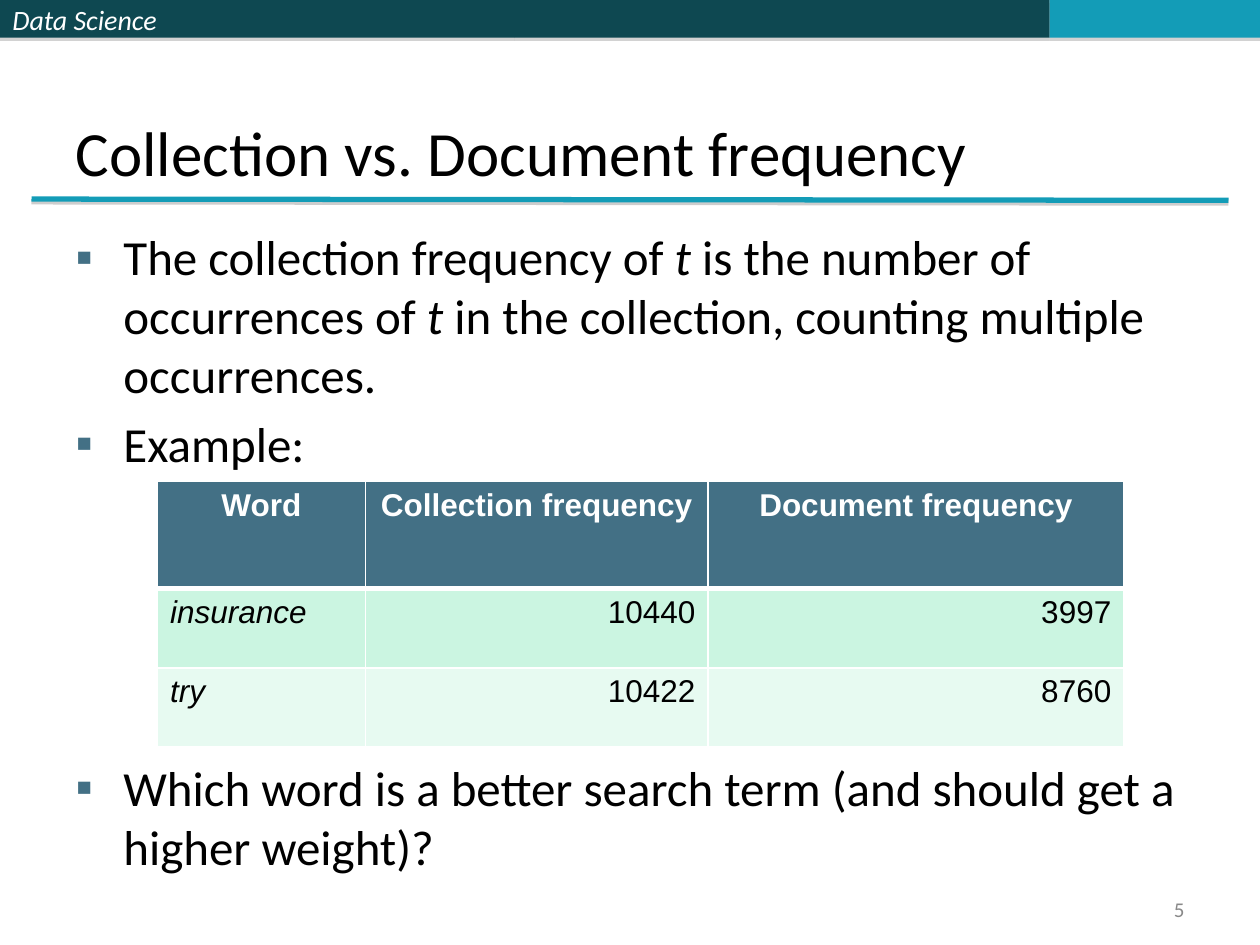
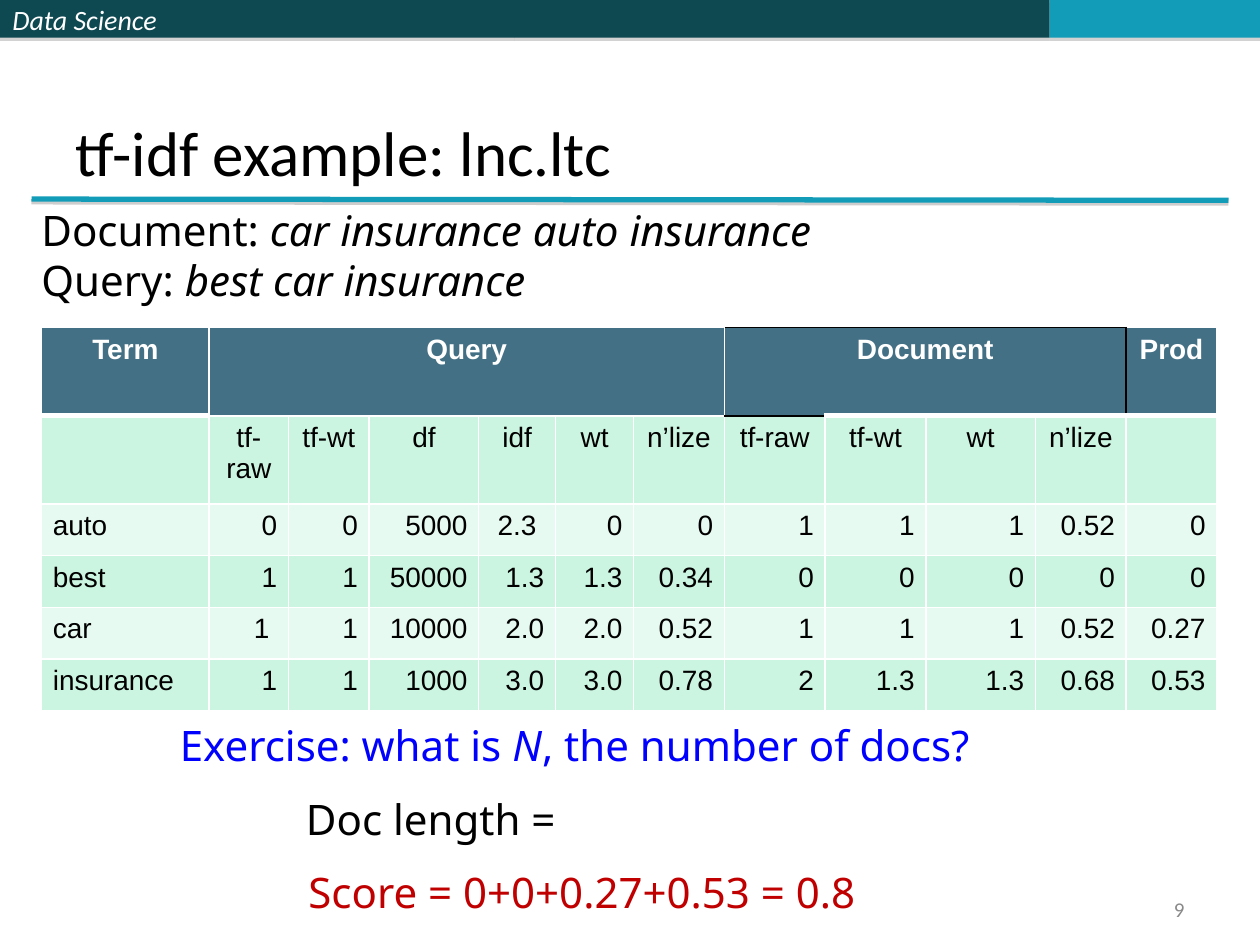
"""Build two lecture slides on collection frequency and tf-idf weighting."""
from lxml import etree
from pptx import Presentation
from pptx import util as u
from pptx.dml import color
from pptx.enum import shapes, text
from pptx.oxml import ns

COLORS = {
    "dark": "0E4851", "accent": "139CB7", "header": "437085", "row_a": "CBF5E1",
    "row_b": "E7FAF1", "white": "FFFFFF", "black": "000000", "gray": "898989",
    "shadow": "808080", "blue": "0000FF", "red": "C00000",
}
LEFT, CENTER, RIGHT = text.PP_ALIGN.LEFT, text.PP_ALIGN.CENTER, text.PP_ALIGN.RIGHT
TOP, MIDDLE, BOTTOM = text.MSO_ANCHOR.TOP, text.MSO_ANCHOR.MIDDLE, text.MSO_ANCHOR.BOTTOM

BANDS = [(4.08, "dark", "Data Science"), (4.25, "dark", ""), (1.67, "accent", "")]
BAND_HEIGHT = 0.3

BULLETS = [
    (5.6, [("The collection frequency of ", False), ("t", True),
           (" is the number of occurrences of ", False), ("t", True),
           (" in the collection, counting multiple occurrences.", False)]),
    (5.6, [("Example:", False)]),
    (163, [("Which word is a better search term (and should get a higher weight)?", False)]),
]

WHITE_RULE, THICK_RULE, BLACK_RULE = ("white", 1), ("white", 3), ("black", 1)
FREQUENCY = {
    "at": (1.25, 3.82), "size": 18, "inset": 0.1, "centered": 1, "italic_terms": True,
    "cols": [1.65, 2.72, 3.3], "rows": [0.85, 0.63, 0.63], "spans": [],
    "cells": [
        ["Word", "Collection frequency", "Document frequency"],
        ["insurance", "10440", "3997"],
        ["try", "10422", "8760"],
    ],
    "rules": {**{(0, c): {"B": THICK_RULE} for c in range(3)},
              **{(1, c): {"T": THICK_RULE} for c in range(3)}},
}
DOCUMENT_RULES = {"T": BLACK_RULE, "R": BLACK_RULE, "B": BLACK_RULE}
WEIGHTS = {
    "at": (0.33, 2.6), "size": 16, "inset": 0.09, "centered": 2, "italic_terms": False,
    "cols": [1.33, 0.63, 0.64, 0.87, 0.61, 0.62, 0.72, 0.8, 0.8, 0.87, 0.72, 0.72],
    "rows": [0.7, 0.7, 0.41, 0.41, 0.41, 0.41], "spans": [(1, 6), (7, 10)],
    "cells": [
        ["Term", "Query", "", "", "", "", "", "Document", "", "", "", "Prod"],
        ["", "tf-raw", "tf-wt", "df", "idf", "wt", "n’lize",
         "tf-raw", "tf-wt", "wt", "n’lize", ""],
        ["auto", "0", "0", "5000", "2.3 ", "0", "0", "1", "1", "1", "0.52", "0"],
        ["best", "1", "1", "50000", "1.3", "1.3", "0.34", "0", "0", "0", "0", "0"],
        ["car", "1 ", "1", "10000", "2.0", "2.0", "0.52", "1", "1", "1", "0.52", "0.27"],
        ["insurance", "1", "1", "1000", "3.0", "3.0", "0.78", "2", "1.3", "1.3", "0.68", "0.53"],
    ],
    "rules": {(0, 0): {"B": THICK_RULE}, (0, 11): {"L": BLACK_RULE, "B": THICK_RULE},
              **{(0, c): DOCUMENT_RULES for c in range(7, 11)},
              (1, 7): {"T": BLACK_RULE},
              **{(1, c): {"T": THICK_RULE} for c in (0, 8, 9, 10, 11)}},
}
NOTES = [
    ((0.23, 1.57, 6.89, 0.91), "black",
     [[("Document: ", False), ("car insurance auto insurance", True)],
      [("Query: ", False), ("best car insurance", True)]]),
    ((1.33, 5.66, 6.84, 0.51), "blue",
     [[("Exercise: what is ", False), ("N", True), (", the number of docs?", False)]]),
    ((2.35, 6.83, 5.03, 0.51), "red", [[("Score = 0+0+0.27+0.53 = 0.8", False)]]),
    ((2.33, 6.25, 2.3, 0.51), "black", [[("Doc length =", False)]]),
]


def rgb(name):
    return color.RGBColor.from_string(COLORS[name])


def place(shape, *box):
    shape.left, shape.top, shape.width, shape.height = map(u.Inches, box)


def child(parent, tag, **attributes):
    return etree.SubElement(parent, ns.qn(tag), attributes)


def add_color(parent, name):
    fill = child(parent, "a:solidFill")
    return child(fill, "a:srgbClr", val=COLORS[name])


def add_span(para, words, size, font, tint, italic=False, bold=False):
    span = para.add_run()
    span.text = words
    span.font.size, span.font.name = u.Pt(size), font
    span.font.italic, span.font.bold = italic, bold
    span.font.color.rgb = rgb(tint)


def add_shadow(shape, distance, opacity):
    effects = child(shape.element.spPr, "a:effectLst")
    shadow = child(effects, "a:outerShdw", blurRad="0", dist=str(u.Pt(distance)),
                   dir="5400000", rotWithShape="0")
    tint = child(shadow, "a:srgbClr", val=COLORS["shadow"])
    child(tint, "a:alpha", val=str(opacity * 1000))


def add_bands(page):
    left = 0
    for width, tint, words in BANDS:
        band = page.shapes.add_shape(shapes.MSO_SHAPE.RECTANGLE, u.Inches(left), 0,
                                     u.Inches(width), u.Inches(BAND_HEIGHT))
        band.fill.solid()
        band.fill.fore_color.rgb = rgb(tint)
        band.line.fill.background()
        add_shadow(band, 1.8, 35)
        if words:
            band.text_frame.vertical_anchor = MIDDLE
            para = band.text_frame.paragraphs[0]
            para.alignment = LEFT
            add_span(para, words, 16, "Calibri", "white", italic=True)
        left += width
    rule = page.shapes.add_connector(shapes.MSO_CONNECTOR.STRAIGHT, u.Inches(0.25),
                                     u.Inches(1.58), u.Inches(9.75), u.Inches(1.59))
    rule.line.color.rgb, rule.line.width = rgb("accent"), u.Pt(3)
    add_shadow(rule, 1.6, 38)


def add_page(deck, layout, title, number):
    page = deck.slides.add_slide(deck.slide_layouts[layout])
    add_bands(page)
    heading = page.shapes.title
    place(heading, 0.5, 0.3, 9, 1.25)
    heading.text_frame.vertical_anchor = BOTTOM
    para = heading.text_frame.paragraphs[0]
    para.alignment = LEFT
    add_span(para, title, 36, "Calibri", "black")
    footer = page.shapes.add_textbox(0, 0, 0, 0)
    place(footer, 7.17, 7.08, 2.33, 0.27)
    footer.text_frame.word_wrap = True
    footer.text_frame.vertical_anchor = MIDDLE
    para = footer.text_frame.paragraphs[0]
    para.alignment = RIGHT
    add_span(para, number, 12, "Calibri", "gray")
    return page


def add_bullets(page):
    body = page.placeholders[1]
    place(body, 0.5, 1.75, 9, 5.42)
    frame = body.text_frame
    frame.auto_size = text.MSO_AUTO_SIZE.NONE
    frame.vertical_anchor = TOP
    for i, (gap, spans) in enumerate(BULLETS):
        para = frame.add_paragraph() if i else frame.paragraphs[0]
        para.space_before = u.Pt(gap)
        props = para._p.get_or_add_pPr()
        props.set("marL", str(u.Inches(0.38)))
        props.set("indent", str(-u.Inches(0.38)))
        child(child(props, "a:buClr"), "a:srgbClr", val=COLORS["header"])
        child(props, "a:buFont", typeface="Arial")
        child(props, "a:buChar", char="▪")
        for words, italic in spans:
            add_span(para, words, 28, "Calibri", "black", italic)


def add_rules(cell, rules):
    props = cell._tc.get_or_add_tcPr()
    for side in "LRTB":
        tint, width = rules.get(side, WHITE_RULE)
        add_color(child(props, "a:ln" + side, w=str(u.Pt(width))), tint)


def fill_cell(cell, words, r, c, data):
    add_rules(cell, data["rules"].get((r, c), {}))
    cell.fill.solid()
    cell.fill.fore_color.rgb = rgb("header" if r == 0 else "row_a" if r % 2 else "row_b")
    cell.margin_left = cell.margin_right = u.Inches(data["inset"])
    para = cell.text_frame.paragraphs[0]
    para.alignment = CENTER if r < data["centered"] else RIGHT if c else LEFT
    if words:
        add_span(para, words, data["size"], "Arial", "black" if r else "white",
                 italic=data["italic_terms"] and r > 0 and c == 0, bold=r == 0)


def add_grid(page, data):
    cols, rows = data["cols"], data["rows"]
    size = data["at"] + (sum(cols), sum(rows))
    grid = page.shapes.add_table(len(rows), len(cols), *map(u.Inches, size)).table
    for column, width in zip(grid.columns, cols):
        column.width = u.Inches(width)
    for row, height in zip(grid.rows, rows):
        row.height = u.Inches(height)
    for r, line in enumerate(data["cells"]):
        for c, words in enumerate(line):
            fill_cell(grid.cell(r, c), words, r, c, data)
    for first, last in data["spans"]:
        grid.cell(0, first).merge(grid.cell(0, last))


def add_note(page, box, tint, lines):
    note = page.shapes.add_textbox(*map(u.Inches, box))
    frame = note.text_frame
    frame.word_wrap = False
    frame.auto_size = text.MSO_AUTO_SIZE.SHAPE_TO_FIT_TEXT
    for i, spans in enumerate(lines):
        para = frame.add_paragraph() if i else frame.paragraphs[0]
        for words, italic in spans:
            add_span(para, words, 24, "Noto Sans", tint, italic)


def main():
    deck = Presentation()
    deck.slide_width, deck.slide_height = u.Inches(10), u.Inches(7.5)
    page = add_page(deck, 1, "Collection vs. Document frequency", "5")
    add_bullets(page)
    add_grid(page, FREQUENCY)
    page = add_page(deck, 5, "tf-idf example: lnc.ltc", "9")
    add_grid(page, WEIGHTS)
    for note in NOTES:
        add_note(page, *note)
    deck.save("out.pptx")


if __name__ == "__main__":
    main()
